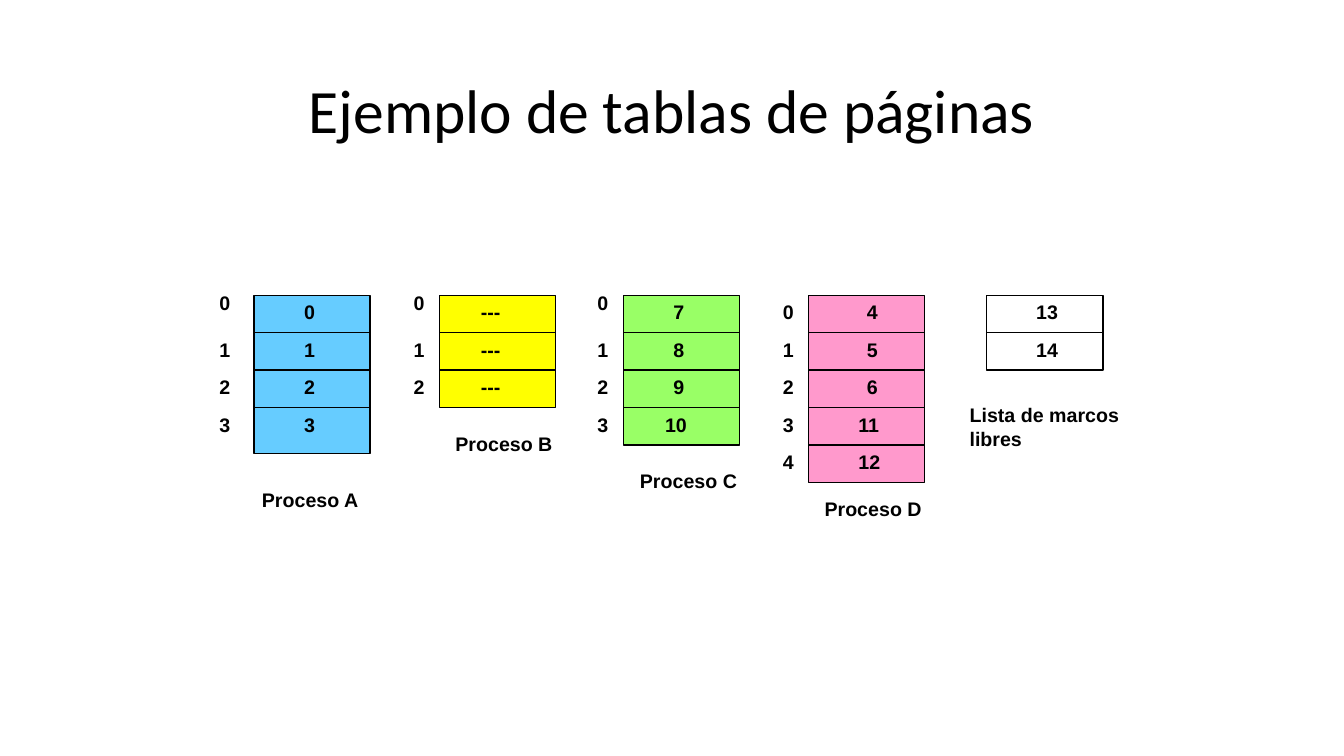
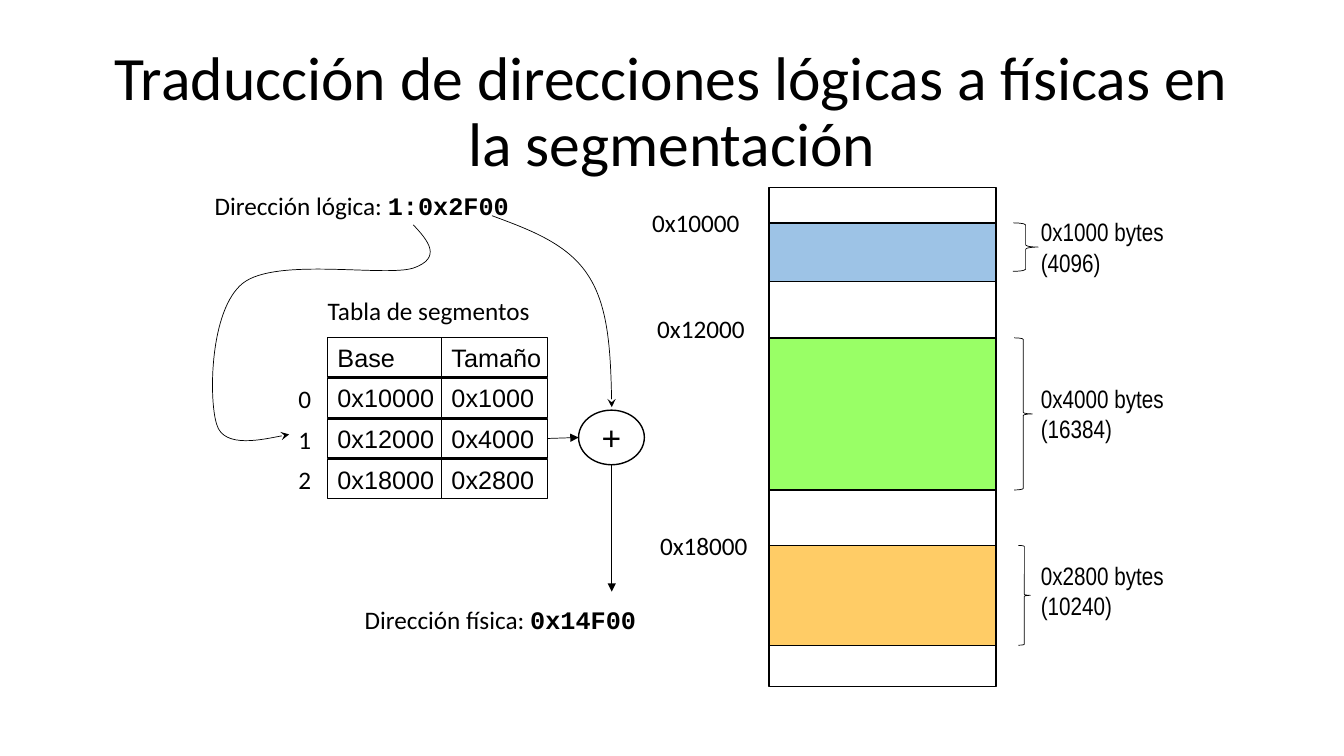
from lxml.etree import SubElement
from pptx import Presentation
from pptx.dml.color import RGBColor
from pptx.enum.shapes import MSO_CONNECTOR as CONN, MSO_SHAPE as SHAPE
from pptx.enum.text import MSO_ANCHOR as ANCHOR, MSO_AUTO_SIZE as AUTO, PP_ALIGN as ALIGN
from pptx.oxml.ns import qn
from pptx.util import Pt

BLACK = RGBColor(0x00, 0x00, 0x00)
WHITE = RGBColor(0xFF, 0xFF, 0xFF)
SKY = RGBColor(0x66, 0xCC, 0xFF)
YELLOW = RGBColor(0xFF, 0xFF, 0x00)
GREEN = RGBColor(0x99, 0xFF, 0x66)
PINK = RGBColor(0xFF, 0x99, 0xCC)
BLUE = RGBColor(0x9D, 0xC3, 0xE6)
ORANGE = RGBColor(0xFF, 0xCC, 0x66)

BODY, SANS, NARROW, MONO = "Calibri", "Arial", "Arial Narrow", "Courier New"


def write(tf, text, size=18, font=BODY, bold=False, align=ALIGN.LEFT, code="", spacing=None):
    """Fill a text frame, one paragraph per line, with an optional closing run of code."""
    for i, line in enumerate(text.split("\n")):
        p = tf.paragraphs[0] if i == 0 else tf.add_paragraph()
        p.alignment = align
        p.line_spacing = spacing
        runs = [(line, font, bold)]
        if code:
            runs.append((code, MONO, True))
        for content, face, heavy in runs:
            r = p.add_run()
            r.text = content
            r.font.size, r.font.name, r.font.bold = Pt(size), face, heavy
            r.font.color.rgb = BLACK


def add_label(s, text, x, y, w, h, **style):
    """Add an unwrapped text box."""
    tf = s.shapes.add_textbox(Pt(x), Pt(y), Pt(w), Pt(h)).text_frame
    tf.word_wrap = False
    tf.auto_size = AUTO.SHAPE_TO_FIT_TEXT
    write(tf, text, **style)


def add_title(s, text):
    """Add the centred slide title."""
    tf = s.shapes.add_textbox(Pt(66), Pt(29), Pt(828), Pt(104)).text_frame
    tf.word_wrap = True
    tf.vertical_anchor = ANCHOR.MIDDLE
    write(tf, text, size=44, align=ALIGN.CENTER, spacing=0.9)


def outline(sp, width, arrow=None):
    """Give a shape or connector a black line with an optional arrowhead at its end."""
    sp.line.color.rgb = BLACK
    sp.line.width = Pt(width)
    if arrow:
        ln = next(sp._element.iter(qn("a:ln")))
        SubElement(ln, qn("a:tailEnd"), type=arrow)


def add_box(s, x, y, w, h, fill=None, kind=SHAPE.RECTANGLE, width=1):
    """Add an outlined preset shape."""
    sp = s.shapes.add_shape(kind, Pt(x), Pt(y), Pt(w), Pt(h))
    sp.shadow.inherit = False
    if fill is None:
        sp.fill.background()
    else:
        sp.fill.solid()
        sp.fill.fore_color.rgb = fill
    outline(sp, width)
    return sp


def add_line(s, x1, y1, x2, y2, width=1, arrow=None):
    """Add a straight line."""
    line = s.shapes.add_connector(CONN.STRAIGHT, Pt(x1), Pt(y1), Pt(x2), Pt(y2))
    outline(line, width, arrow)
    SubElement(line._element.spPr, qn("a:effectLst"))
    return line


def add_curve(s, start, *controls):
    """Add an open Bézier curve with an arrowhead, three control points per segment."""
    fb = s.shapes.build_freeform(Pt(start[0]), Pt(start[1]))
    fb.add_line_segments([(Pt(x), Pt(y)) for x, y in controls], close=False)
    sp = fb.convert_to_shape()
    geometry = next(sp._element.iter(qn("a:path")))
    steps = geometry.findall(qn("a:lnTo"))
    for i in range(0, len(steps), 3):
        curve = SubElement(geometry, qn("a:cubicBezTo"))
        for step in steps[i:i + 3]:
            curve.append(step[0])
            geometry.remove(step)
    sp.shadow.inherit = False
    sp.fill.background()
    outline(sp, 0.5, "stealth")


def page_table(s, x, y, fill, frames, caption, caption_at, caption_size=(84, 24),
               value_x=28.8, index_x=None, lift=0, height=None):
    """Draw a column of frames with page numbers at its left and a caption below."""
    pitch, width = 26.7, 83
    style = dict(size=14, font=SANS, bold=True)
    add_box(s, x, y, width, height or pitch * len(frames), fill)
    for i, frame in enumerate(frames):
        top = y + i * pitch
        if i:
            add_line(s, x, top, x + width, top)
        if index_x is not None:
            add_label(s, str(i), x + index_x, top - (0 if i else lift), 22, 24, **style)
        add_label(s, frame, x + value_x - 6 * (len(frame) - 1), top,
                  22 if len(frame) == 1 else 30, 24, **style)
    add_label(s, caption, x + caption_at[0], y + caption_at[1], *caption_size, **style)


def segment_table(s, x, y):
    """Draw the segment table and return the cell that leads to the sum."""
    pitch, columns = 29, ((0, 81.4), (81.4, 75.6))
    rows = (("Base", "Tamaño"), ("0x10000", "0x1000"),
            ("0x12000", "0x4000"), ("0x18000", "0x2800"))
    cells = {}
    add_label(s, "Tabla de segmentos", x - 7, y - 34, 160.5, 29)
    for i, row in enumerate(rows):
        for j, (text, (left, width)) in enumerate(zip(row, columns)):
            cell = add_box(s, x + left, y + i * pitch, width, 28, WHITE)
            tf = cell.text_frame
            tf.word_wrap = True
            tf.margin_right = 0
            tf.vertical_anchor = ANCHOR.MIDDLE
            write(tf, text, font=SANS)
            cells[i, j] = cell
        if i:
            add_label(s, str(i - 1), x - 28, y + i * pitch, 24.5, 29)
    return cells[2, 1]


def memory_map(s, x, y):
    """Draw physical memory with its segments, base addresses and sizes."""
    width = 162
    add_box(s, x, y, width, 356.4, WHITE)
    segments = (
        (25.2, 41.8, BLUE, "0x10000", (-90.7, -15), (174.2, 18, 34.6), "0x1000 bytes\n(4096)", -8),
        (107.3, 108.7, GREEN, "0x12000", (-87, -21), (175, 13, 108.7), "0x4000 bytes\n(16384)", 29),
        (255.6, 71.3, ORANGE, "0x18000", (-85, -14.4), (178, 8.6, 71.3), "0x2800 bytes\n(10240)", 7),
    )
    for top, height, fill, base, (dx, dy), (brace_x, brace_w, brace_h), size, size_y in segments:
        top += y
        add_box(s, x, top, width, height, fill)
        add_label(s, base, x + dx, top + dy, 78, 29)
        add_box(s, x + brace_x, top, brace_w, brace_h, kind=SHAPE.RIGHT_BRACE, width=0.5)
        add_label(s, size, x + 187, top + size_y, 103.7, 51, font=NARROW)


def page_tables_slide(s):
    """Build the slide with the page tables of four processes."""
    add_title(s, "Ejemplo de tablas de páginas")
    y = 211
    page_table(s, 181.4, y, SKY, ("0", "1", "2", "3"), "Proceso A", (-1.4, 134),
               index_x=-31.7, lift=7, height=113)
    page_table(s, 313.9, y, YELLOW, ("---",) * 3, "Proceso B", (4.3, 93.6),
               value_x=34.5, index_x=-25.5, lift=7)
    page_table(s, 445.2, y, GREEN, ("7", "8", "9", "10"), "Proceso C", (4.8, 120.4),
               index_x=-25.5, lift=7)
    page_table(s, 577.6, y, PINK, ("4", "5", "6", "11", "12"), "Proceso D", (4.3, 140.4),
               value_x=34.5, index_x=-25.5)
    page_table(s, 704.9, y, None, ("13", "14"), "Lista de marcos\nlibres", (-19.4, 73.4),
               caption_size=(121.7, 41), value_x=34.2)


def segmentation_slide(s):
    """Build the slide on address translation with segments."""
    add_title(s, "Traducción de direcciones lógicas a físicas en la segmentación")
    memory_map(s, 549.4, 134)
    add_label(s, "Dirección lógica: ", 146.2, 132.5, 226.8, 29, code="1:0x2F00")
    add_curve(s, (295.2, 160.6), (306, 172), (316, 184.3), (295.2, 191.5),
              (275, 198), (197.3, 183.6), (173.5, 202.3), (149.8, 221), (149, 285.1),
              (154.8, 303.1), (159.8, 321.1), (206.6, 310.3), (206.6, 310.3))
    add_curve(s, (351.4, 154.1), (378.7, 164.2), (406, 174.2), (420.5, 197.3),
              (434.9, 219.6), (436.3, 255.6), (437, 290.9))
    total = add_box(s, 413.3, 293, 47, 39, WHITE, SHAPE.OVAL)
    tf = total.text_frame
    tf.margin_left = tf.margin_right = tf.margin_top = tf.margin_bottom = 0
    tf.vertical_anchor = ANCHOR.MIDDLE
    write(tf, "+", size=24, font=SANS, align=ALIGN.CENTER)
    source = segment_table(s, 234, 241.2)
    to_sum = add_line(s, 391, 313.2, 413.3, 312.5, 0.5, "triangle")
    to_sum.begin_connect(source, 3)
    add_line(s, 437, 332, 437, 422.6, 0.5, "triangle")
    add_label(s, "Dirección física: ", 253.4, 428.4, 210.2, 29, code="0x14F00")


def main():
    """Build and save the presentation."""
    prs = Presentation()
    prs.slide_width, prs.slide_height = Pt(960), Pt(540)
    for build in (page_tables_slide, segmentation_slide):
        build(prs.slides.add_slide(prs.slide_layouts[6]))
    prs.save("out.pptx")


if __name__ == "__main__":
    main()
